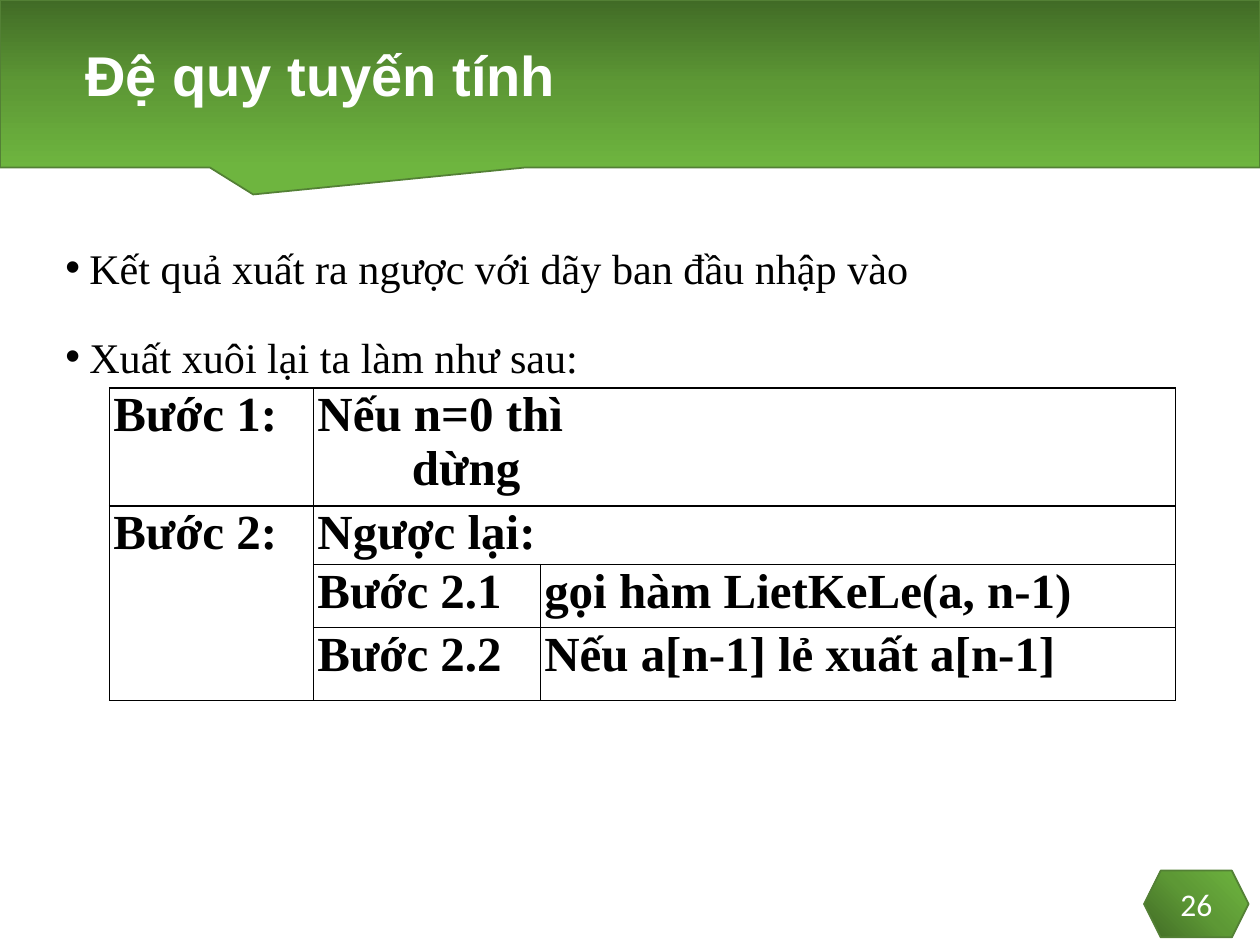
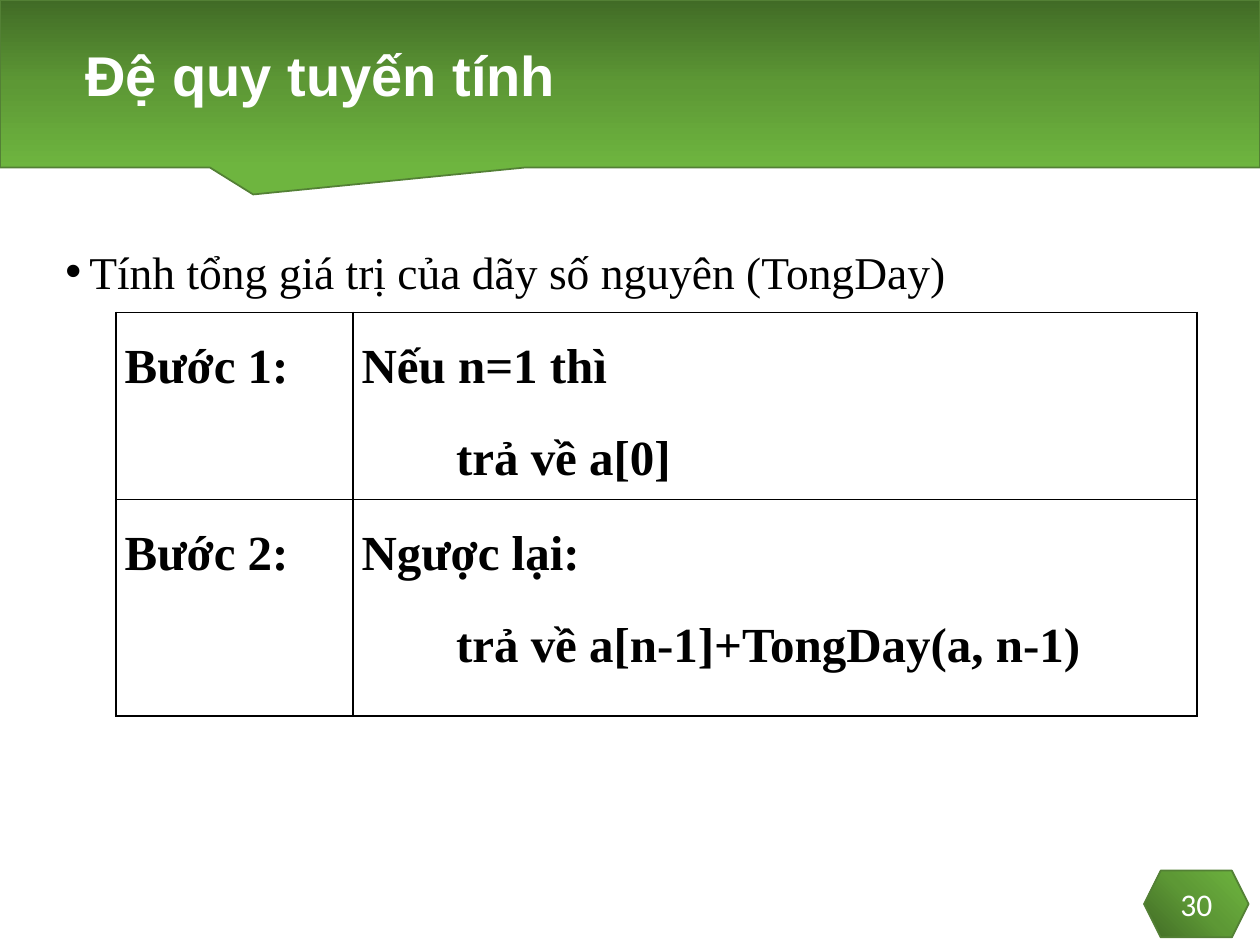
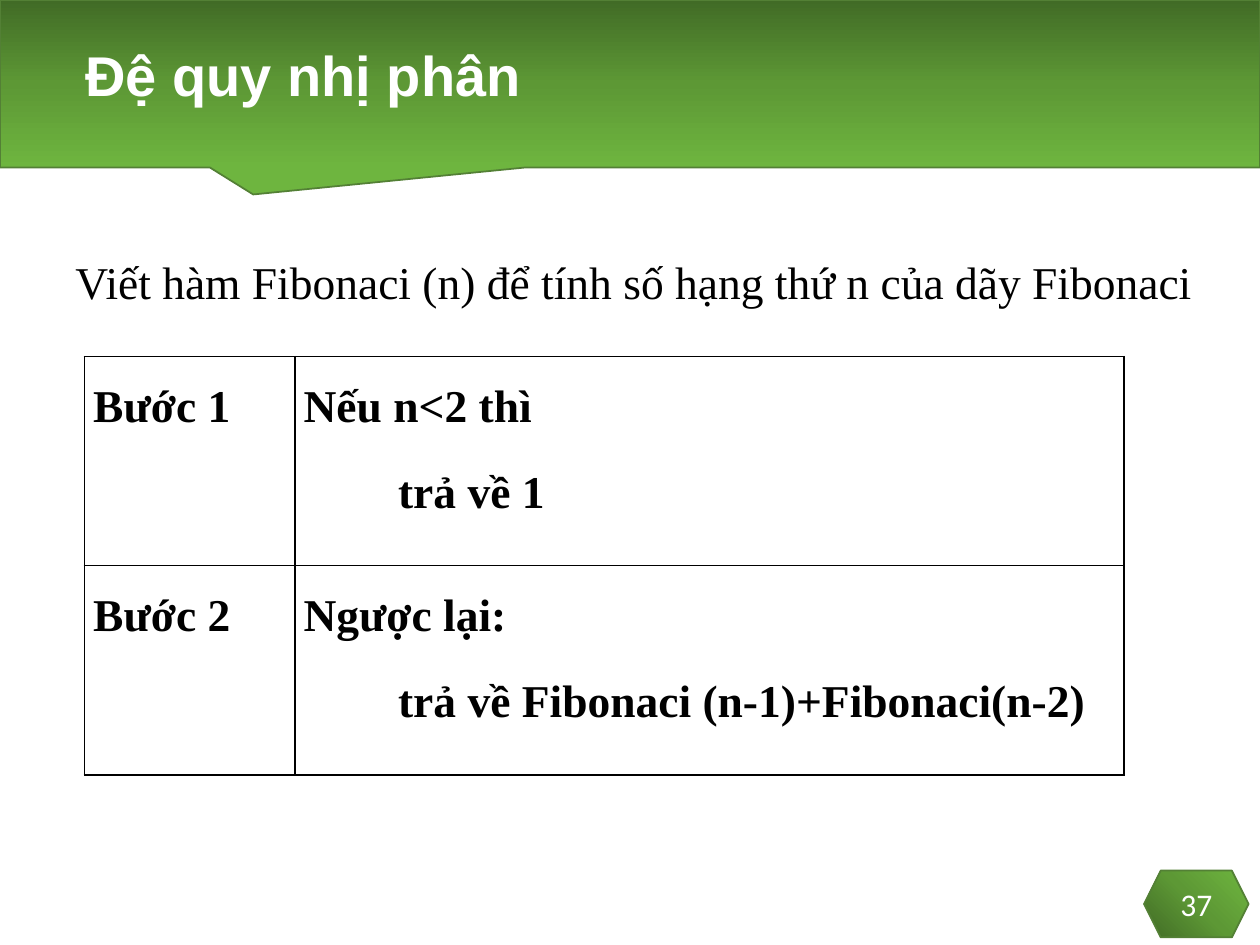
from dataclasses import dataclass

from lxml import etree
from pptx import Presentation
from pptx.dml.color import RGBColor
from pptx.enum.shapes import MSO_SHAPE
from pptx.enum.text import MSO_ANCHOR, PP_ALIGN
from pptx.oxml.ns import nsdecls, qn
from pptx.oxml import parse_xml
from pptx.util import Inches, Pt

BAND = MSO_SHAPE.RECTANGULAR_CALLOUT
HEX = MSO_SHAPE.HEXAGON
MIDDLE = MSO_ANCHOR.MIDDLE
CENTER = PP_ALIGN.CENTER
JUSTIFY = PP_ALIGN.JUSTIFY
BLANK = 6


@dataclass(frozen=True)
class Theme:
    ink: str = "000000"
    paper: str = "FFFFFF"
    edge: str = "538035"
    greens: tuple = ((0, "416B26"), (50, "5D9835"), (100, "6EB53F"))
    head: str = "Arial"
    body: str = "Times New Roman"
    foot: str = "Calibri"
    title: float = 32
    large: float = 28
    text: float = 26
    small: float = 24.1
    page: float = 18
    rule: float = 1


THEME = Theme()
DOWN = '<a:lin ang="5400000" scaled="0"/>'
CORNER = '<a:path path="circle"><a:fillToRect t="100000" r="100000"/></a:path>'


def write(frame, lines, font=THEME.body, size=THEME.text, color=THEME.ink,
          bold=False, align=None, space=None, before=None, after=None,
          bullet=False, step=0):
    frame.word_wrap = True
    for num, line in enumerate(lines):
        para = frame.add_paragraph() if num else frame.paragraphs[0]
        para.alignment = align
        para.line_spacing = space
        if before is not None:
            para.space_before = Pt(before)
        if after is not None:
            para.space_after = Pt(after)
        props = para._p.get_or_add_pPr()
        if bullet:
            props.set("marL", str(Inches(0.19)))
            props.set("indent", str(Inches(-0.19)))
            etree.SubElement(props, qn("a:buFont")).set("typeface", "Arial")
            etree.SubElement(props, qn("a:buChar")).set("char", "•")
        elif num and step:
            props.set("marL", str(Inches(step)))
        run = para.add_run()
        run.text = line
        run.font.name = font
        run.font.size = Pt(size)
        run.font.bold = bold
        run.font.color.rgb = RGBColor.from_string(color)


def shade(shape, mode):
    stops = "".join(
        f'<a:gs pos="{pos * 1000}"><a:srgbClr val="{tint}"/></a:gs>'
        for pos, tint in THEME.greens)
    grad = parse_xml(f'<a:gradFill {nsdecls("a")} rotWithShape="1">'
                     f'<a:gsLst>{stops}</a:gsLst>{mode}</a:gradFill>')
    shape.fill.background()
    props = shape.element.spPr
    props.replace(props.find(qn("a:noFill")), grad)


def green(slide, kind, box, mode):
    shape = slide.shapes.add_shape(kind, *map(Inches, box))
    shape.shadow.inherit = False
    shade(shape, mode)
    shape.line.color.rgb = RGBColor.from_string(THEME.edge)
    shape.line.width = Pt(THEME.rule)
    return shape


def label(slide, box, lines, anchor=None, **style):
    frame = slide.shapes.add_textbox(*map(Inches, box)).text_frame
    frame.vertical_anchor = anchor
    write(frame, lines, **style)


def border(cell):
    cell.fill.background()
    props = cell._tc.get_or_add_tcPr()
    for num, side in enumerate("LRTB"):
        props.insert(num, parse_xml(
            f'<a:ln{side} {nsdecls("a")} w="{Pt(THEME.rule)}"><a:solidFill>'
            f'<a:srgbClr val="{THEME.ink}"/></a:solidFill></a:ln{side}>'))


def grid(slide, spot, cols, rows, cells, spans=(), pad=0.07, **style):
    box = (*spot, sum(cols), sum(rows))
    table = slide.shapes.add_table(
        len(rows), len(cols), *map(Inches, box)).table
    table.first_row = table.horz_banding = False
    for col, wide in zip(table.columns, cols):
        col.width = Inches(wide)
    for row, high in zip(table.rows, rows):
        row.height = Inches(high)
    for start, end in spans:
        table.cell(*start).merge(table.cell(*end))
    for cell in table.iter_cells():
        border(cell)
        cell.margin_left = cell.margin_right = Inches(pad)
        cell.margin_top = cell.margin_bottom = 0
    for spot, lines in cells.items():
        write(table.cell(*spot).text_frame, lines, bold=True,
              align=JUSTIFY, step=0.75, **style)


def start(deck, title, page):
    slide = deck.slides.add_slide(deck.slide_layouts[BLANK])
    band = green(slide, BAND, (0, 0, 10, 1.33), DOWN)
    band.adjustments[0] = -0.299
    band.adjustments[1] = 0.661
    badge = green(slide, HEX, (9.08, 6.91, 0.83, 0.53), CORNER)
    badge.text_frame.vertical_anchor = MIDDLE
    write(badge.text_frame, [str(page)], font=THEME.foot, size=THEME.page,
          color=THEME.paper, align=CENTER)
    label(slide, (0.58, 0.08, 8.83, 1.08), [title], anchor=MIDDLE,
          font=THEME.head, size=THEME.title, color=THEME.paper,
          bold=True, space=0.9)
    return slide


def odds(deck):
    slide = start(deck, "Đệ quy tuyến tính", 26)
    label(slide, (0.42, 1.67, 9.08, 1.42),
          ["Kết quả xuất ra ngược với dãy ban đầu nhập vào",
           "Xuất xuôi lại ta làm như sau:"],
          size=THEME.small, space=1.5, before=7.5, bullet=True)
    cells = {
        (0, 0): ["Bước 1:"],
        (0, 1): ["Nếu n=0 thì", "dừng"],
        (1, 0): ["Bước 2:"],
        (1, 1): ["Ngược lại:"],
        (2, 1): ["Bước 2.1"],
        (2, 2): ["gọi hàm LietKeLe(a, n-1)"],
        (3, 1): ["Bước 2.2"],
        (3, 2): ["Nếu a[n-1] lẻ xuất a[n-1]"],
    }
    spans = (((0, 1), (0, 2)), ((1, 0), (3, 0)), ((1, 1), (1, 2)))
    grid(slide, (0.87, 3.08), (1.62, 1.8, 5.04), (0.86, 0.43, 0.5, 0.58),
         cells, spans, pad=0.03, size=THEME.large)


def total(deck):
    slide = start(deck, "Đệ quy tuyến tính", 30)
    label(slide, (0.42, 1.67, 9.08, 1),
          ["Tính tổng giá trị của dãy số nguyên (TongDay)"],
          space=1.5, before=7.5, bullet=True)
    cells = {
        (0, 0): ["Bước 1:"],
        (0, 1): ["Nếu n=1 thì", "trả về a[0]"],
        (1, 0): ["Bước 2:"],
        (1, 1): ["Ngược lại:", "trả về a[n-1]+TongDay(a, n-1)"],
    }
    grid(slide, (0.92, 2.48), (1.88, 6.7), (1.37, 1.72), cells,
         size=THEME.large, space=1.5, after=6)


def series(deck):
    slide = start(deck, "Đệ quy nhị phân", 37)
    label(slide, (0.5, 1.75, 9.17, 1.08),
          ["Viết hàm Fibonaci (n) để tính số hạng thứ n của dãy Fibonaci"],
          space=1.5, before=7.5)
    cells = {
        (0, 0): ["Bước 1"],
        (0, 1): ["Nếu n<2 thì", "trả về 1"],
        (1, 0): ["Bước 2"],
        (1, 1): ["Ngược lại:", "trả về Fibonaci (n-1)+Fibonaci(n-2)"],
    }
    grid(slide, (0.67, 2.83), (1.67, 6.58), (1.66, 1.66), cells,
         space=1.5, after=6)


def main():
    deck = Presentation()
    deck.slide_width = Inches(10)
    deck.slide_height = Inches(7.5)
    for build in (odds, total, series):
        build(deck)
    deck.save("out.pptx")


if __name__ == "__main__":
    main()
